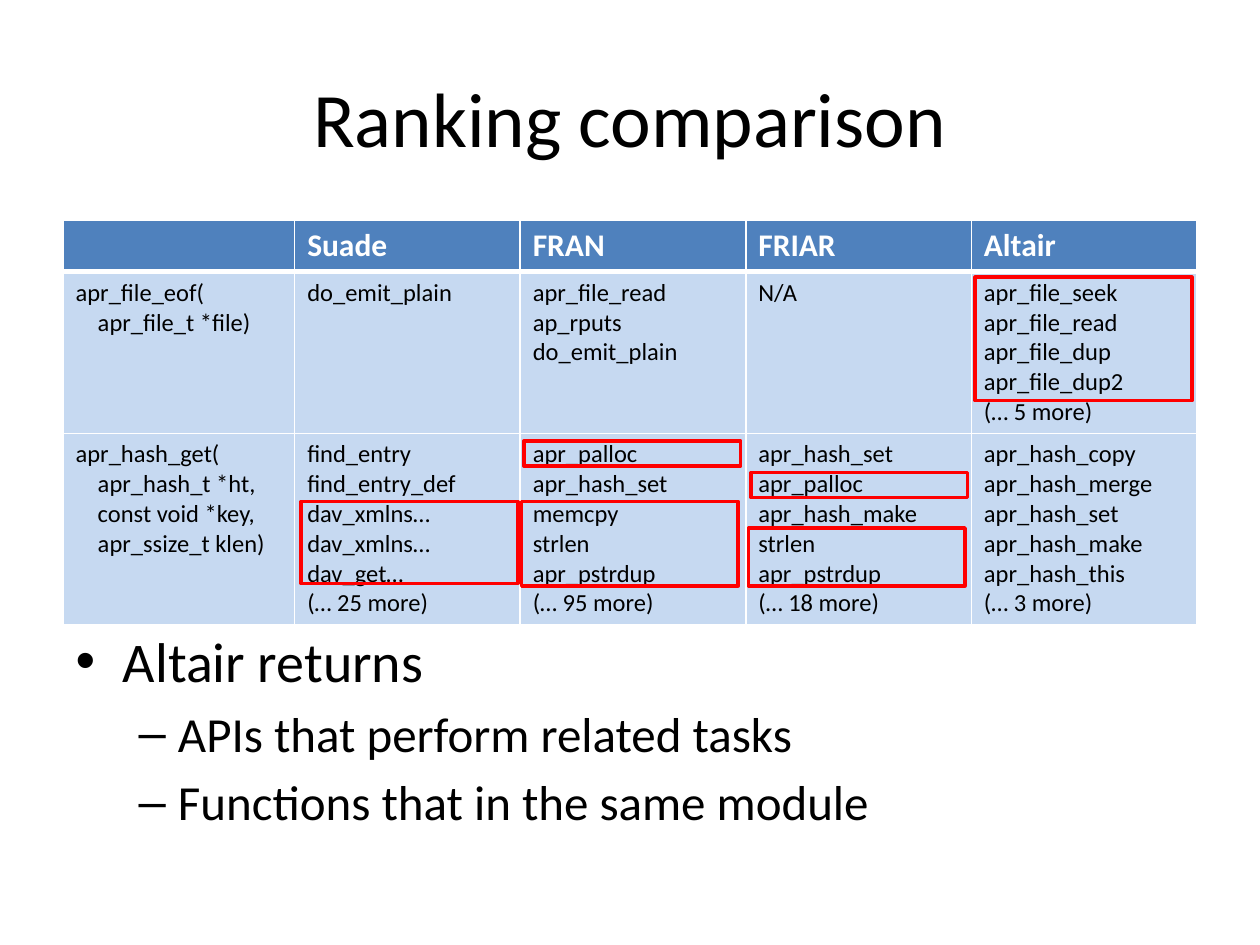
"""Build the ranking comparison slide with its table, highlights and conclusions."""
from dataclasses import dataclass

import pptx
import pptx.dml.color
import pptx.enum.shapes
import pptx.enum.text
import pptx.oxml
import pptx.oxml.ns
import pptx.util

Pt = pptx.util.Pt

COLORS: dict[str, str] = {
    "text": "000000",
    "header": "4F81BD",
    "body": "C6D9F1",
    "white": "FFFFFF",
    "highlight": "FF0000",
}
FONT = "Calibri"
COLUMN_WIDTHS = [132.4] + [128.9] * 4
ROW_HEIGHTS = [29.2, 92.3, 109.2]
HIGHLIGHT_WIDTH = 123.8

TABLE_ROWS = [
    ["", "Suade", "FRAN", "FRIAR", "Altair"],
    [
        "apr_file_eof(\n    apr_file_t *file)",
        "do_emit_plain",
        "apr_file_read\nap_rputs\ndo_emit_plain",
        "N/A",
        "apr_file_seek\napr_file_read\napr_file_dup\napr_file_dup2\n(… 5 more)",
    ],
    [
        "apr_hash_get(\n    apr_hash_t *ht,\n    const void *key,\n    apr_ssize_t klen)",
        "find_entry\nfind_entry_def\ndav_xmlns…\ndav_xmlns…\ndav_get…\n(… 25 more)",
        "apr_palloc\napr_hash_set\nmemcpy\nstrlen\napr_pstrdup\n(… 95 more)",
        "apr_hash_set\napr_palloc\napr_hash_make\nstrlen\napr_pstrdup\n(… 18 more)",
        "apr_hash_copy\napr_hash_merge\napr_hash_set\napr_hash_make\napr_hash_this\n(… 3 more)",
    ],
]


@dataclass(frozen=True)
class Highlight:
    """Position and height of a red frame, in points."""

    left: float
    top: float
    height: float


@dataclass(frozen=True)
class Bullet:
    """One line of the conclusions and its format."""

    text: str
    level: int
    size: float
    space_before: float


HIGHLIGHTS = [
    Highlight(172.1, 286.6, 46.8),
    Highlight(299.5, 252, 14.4),
    Highlight(429.1, 270, 14.4),
    Highlight(557.3, 158.4, 70.6),
    Highlight(427.7, 301.7, 33.1),
    Highlight(298.1, 286.6, 48.2),
]
BULLETS = [
    Bullet("Altair returns", 0, 32, 0),
    Bullet("APIs that perform related tasks", 1, 28, 5.6),
    Bullet("Functions that in the same module", 1, 28, 5.6),
]


def rgb(name: str) -> pptx.dml.color.RGBColor:
    """Return a named colour."""
    return pptx.dml.color.RGBColor.from_string(COLORS[name])


def write_text(paragraph, text: str, *, size: float, color: str = "text",
               bold: bool = False, level: int = 0, space_before: float = 0) -> None:
    """Write one formatted line into a paragraph."""
    paragraph.level = level
    paragraph.space_before = Pt(space_before)
    run = paragraph.add_run()
    run.text = text
    run.font.name = FONT
    run.font.size = Pt(size)
    run.font.bold = bold
    run.font.color.rgb = rgb(color)


def place(shape, left: float, top: float, width: float, height: float) -> None:
    """Move and size a shape in points."""
    shape.left, shape.top = Pt(left), Pt(top)
    shape.width, shape.height = Pt(width), Pt(height)


def add_borders(cell, bottom_width: float) -> None:
    """Draw white borders around a table cell."""
    properties = cell._tc.get_or_add_tcPr()
    for side, width in (("L", 1), ("R", 1), ("T", 1), ("B", bottom_width)):
        properties.append(pptx.oxml.parse_xml(
            f'<a:ln{side} {pptx.oxml.ns.nsdecls("a")} w="{Pt(width)}">'
            f'<a:solidFill><a:srgbClr val="{COLORS["white"]}"/></a:solidFill></a:ln{side}>'
        ))


def add_comparison_table(slide) -> None:
    """Add the table of ranked functions for each tool."""
    table = slide.shapes.add_table(
        len(TABLE_ROWS), len(COLUMN_WIDTHS), Pt(36), Pt(126),
        Pt(sum(COLUMN_WIDTHS)), Pt(sum(ROW_HEIGHTS)),
    ).table
    for column, width in zip(table.columns, COLUMN_WIDTHS):
        column.width = Pt(width)
    for row_index, (row, height) in enumerate(zip(table.rows, ROW_HEIGHTS)):
        row.height = Pt(height)
        header = row_index == 0
        for cell, content in zip(row.cells, TABLE_ROWS[row_index]):
            add_borders(cell, 3 if header else 1)
            cell.fill.solid()
            cell.fill.fore_color.rgb = rgb("header" if header else "body")
            for index, line in enumerate(content.split("\n") if content else []):
                paragraph = cell.text_frame.add_paragraph() if index else cell.text_frame.paragraphs[0]
                write_text(paragraph, line, size=18 if header else 14,
                           color="white" if header else "text", bold=header)


def add_highlight(slide, highlight: Highlight) -> None:
    """Add an unfilled red frame."""
    shape = slide.shapes.add_shape(
        pptx.enum.shapes.MSO_SHAPE.RECTANGLE, Pt(highlight.left), Pt(highlight.top),
        Pt(HIGHLIGHT_WIDTH), Pt(highlight.height),
    )
    shape.shadow.inherit = False
    shape.fill.background()
    shape.line.color.rgb = rgb("highlight")
    shape.line.width = Pt(2)


def main() -> None:
    """Create and save the presentation."""
    presentation = pptx.Presentation()
    presentation.slide_width, presentation.slide_height = Pt(720), Pt(540)
    slide = presentation.slides.add_slide(presentation.slide_layouts[1])

    title = slide.shapes.title
    place(title, 36, 21.6, 648, 90)
    title.text_frame.vertical_anchor = pptx.enum.text.MSO_ANCHOR.MIDDLE
    heading = title.text_frame.paragraphs[0]
    heading.alignment = pptx.enum.text.PP_ALIGN.CENTER
    write_text(heading, "Ranking comparison", size=44)

    body = slide.placeholders[1]
    place(body, 36, 354.2, 648, 135.4)
    for index, bullet in enumerate(BULLETS):
        paragraph = body.text_frame.add_paragraph() if index else body.text_frame.paragraphs[0]
        write_text(paragraph, bullet.text, size=bullet.size, level=bullet.level,
                   space_before=bullet.space_before)

    add_comparison_table(slide)
    for highlight in HIGHLIGHTS:
        add_highlight(slide, highlight)
    presentation.save("out.pptx")


if __name__ == "__main__":
    main()
